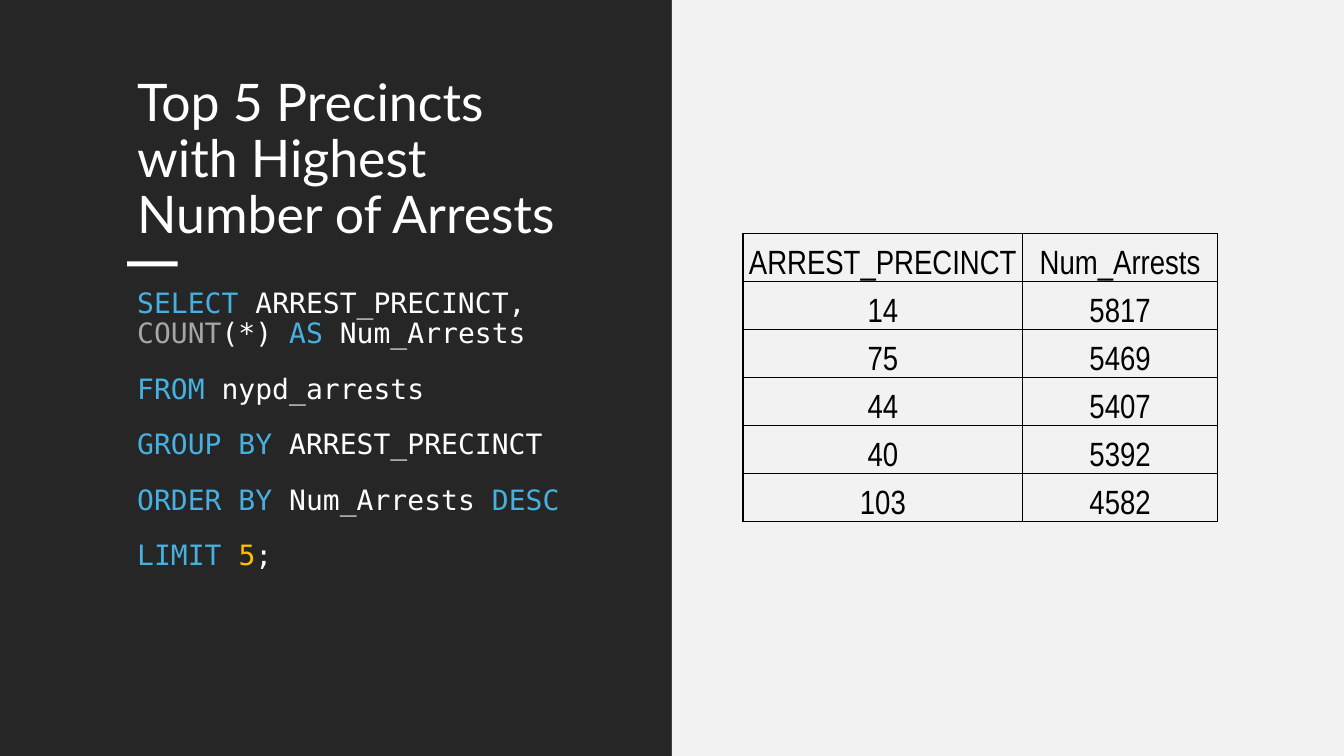
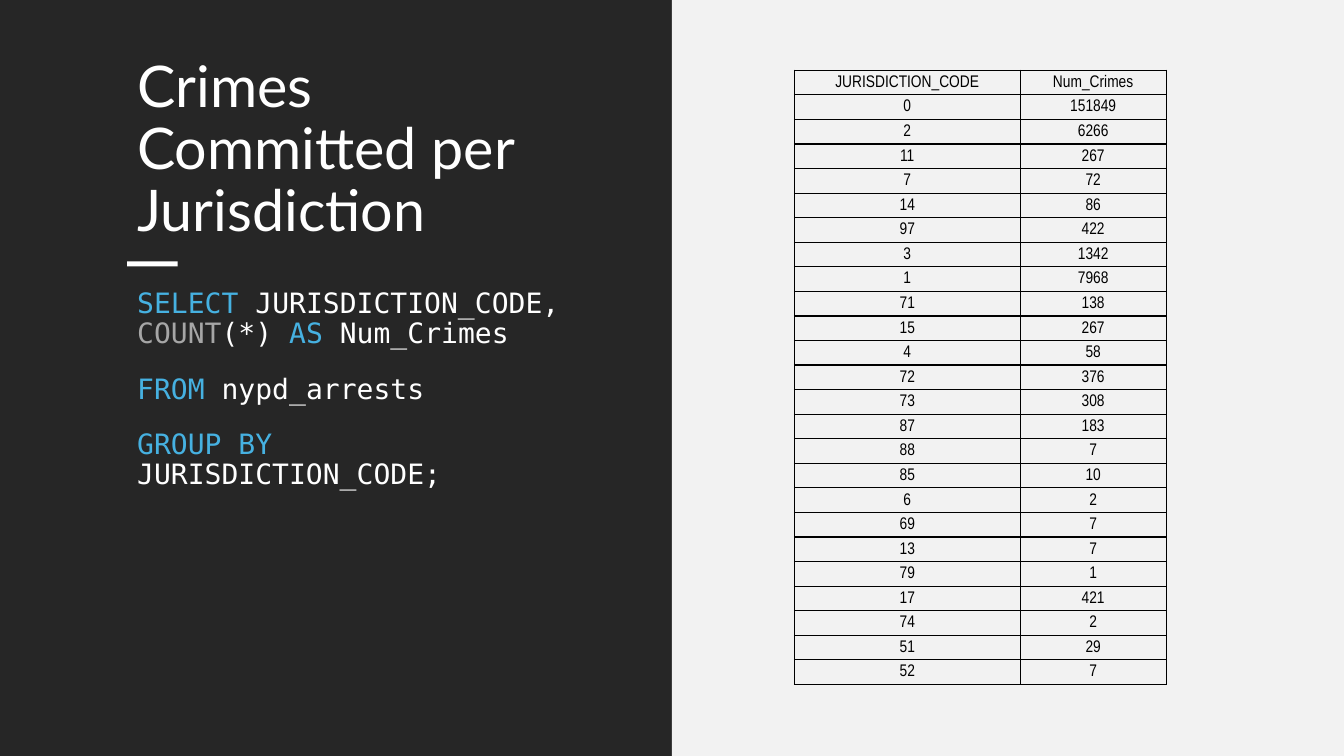
from lxml import etree
from pptx import Presentation
from pptx.dml.color import RGBColor
from pptx.enum.shapes import MSO_SHAPE
from pptx.enum.text import MSO_ANCHOR, PP_ALIGN
from pptx.oxml.ns import qn
from pptx.util import Pt

RECT = MSO_SHAPE.RECTANGLE
CENTER = PP_ALIGN.CENTER
TOP, MIDDLE, BOTTOM = MSO_ANCHOR.TOP, MSO_ANCHOR.MIDDLE, MSO_ANCHOR.BOTTOM

WIDE, HIGH = 960, 540
HALF = WIDE / 2
LEFT = 90.9
DARK, PALE, WHITE, BLACK = "262626", "F2F2F2", "FFFFFF", "000000"
KEY, FUNC, NUM = "46B1E1", "A6A6A6", "FFC000"
HEAD, CODE, DATA = "Lato", "DejaVu Sans Mono", "Arial Narrow"

# Each query is a list of paragraphs; each paragraph is a list of (text, colour).
SLIDES = [
    {
        "title": "Top 5 Precincts with Highest Number of Arrests",
        "size": 37,
        "query": [
            [("SELECT", KEY), (" ARREST_PRECINCT, ", WHITE), ("COUNT", FUNC),
             ("(*) ", WHITE), ("AS ", KEY), ("Num_Arrests", WHITE)],
            [("FROM ", KEY), ("nypd_arrests", WHITE)],
            [("GROUP BY ", KEY), ("ARREST_PRECINCT", WHITE)],
            [("ORDER BY ", KEY), ("Num_Arrests ", WHITE), ("DESC", KEY)],
            [("LIMIT ", KEY), ("5", NUM), (";", WHITE)],
        ],
        "rows": [
            ("ARREST_PRECINCT", "Num_Arrests"),
            (14, 5817), (75, 5469), (44, 5407), (40, 5392), (103, 4582),
        ],
        "grid": {"left": 530.7, "top": 166.9, "cols": (199.8, 139.2),
                 "step": 34.3, "size": 24, "anchor": BOTTOM, "inset": 1.4},
    },
    {
        "title": "Crimes Committed per Jurisdiction",
        "size": 41,
        "query": [
            [("SELECT", KEY), (" JURISDICTION_CODE, ", WHITE), ("COUNT", FUNC),
             ("(*) ", WHITE), ("AS ", KEY), ("Num_Crimes", WHITE)],
            [("FROM ", KEY), ("nypd_arrests", WHITE)],
            [("GROUP BY ", KEY), ("JURISDICTION_CODE;", WHITE)],
        ],
        "rows": [
            ("JURISDICTION_CODE", "Num_Crimes"),
            (0, 151849), (2, 6266), (11, 267), (7, 72), (14, 86), (97, 422),
            (3, 1342), (1, 7968), (71, 138), (15, 267), (4, 58), (72, 376),
            (73, 308), (87, 183), (88, 7), (85, 10), (6, 2), (69, 7),
            (13, 7), (79, 1), (17, 421), (74, 2), (51, 29), (52, 7),
        ],
        "grid": {"left": 567.4, "top": 50.2, "cols": (161.3, 104.3),
                 "step": 17.55, "size": 12, "anchor": MIDDLE, "inset": 0.7},
    },
]


def rgb(color):
    return RGBColor.from_string(color)


def block(slide, x, y, w, h, color):
    shape = slide.shapes.add_shape(RECT, Pt(x), Pt(y), Pt(w), Pt(h))
    shape.shadow.inherit = False
    shape.fill.solid()
    shape.fill.fore_color.rgb = rgb(color)
    shape.line.fill.background()


def write(frame, paras, font=CODE, size=20, align=None, lead=None,
          before=None, after=None):
    """Fill a text frame with paragraphs of (text, colour) runs."""
    for i, runs in enumerate(paras):
        para = frame.add_paragraph() if i else frame.paragraphs[0]
        para.alignment = align
        para.line_spacing = lead
        para.space_before = before
        para.space_after = after
        for text, color in runs:
            run = para.add_run()
            run.text = text
            run.font.name = font
            run.font.size = Pt(size)
            run.font.color.rgb = rgb(color)


def text_box(slide, x, y, w, h, paras, anchor=TOP, **style):
    frame = slide.shapes.add_textbox(Pt(x), Pt(y), Pt(w), Pt(h)).text_frame
    frame.word_wrap = True
    frame.vertical_anchor = anchor
    write(frame, paras, lead=0.9, **style)


def border(cell):
    props = cell._tc.get_or_add_tcPr()
    for side in ("lnL", "lnR", "lnT", "lnB"):
        line = etree.SubElement(props, qn("a:" + side), w=str(Pt(1)))
        fill = etree.SubElement(line, qn("a:solidFill"))
        etree.SubElement(fill, qn("a:srgbClr"), val=BLACK)


def add_grid(slide, rows, left, top, cols, step, size, anchor, inset):
    table = slide.shapes.add_table(
        len(rows), len(cols), Pt(left), Pt(top),
        Pt(sum(cols)), Pt(step * len(rows))).table
    table.first_row = table.horz_banding = False
    for col, width in zip(table.columns, cols):
        col.width = Pt(width)
    for line, values in zip(table.rows, rows):
        line.height = Pt(step)
        for cell, value in zip(line.cells, values):
            border(cell)
            cell.fill.background()
            cell.vertical_anchor = anchor
            cell.margin_left = cell.margin_right = cell.margin_top = Pt(inset)
            cell.margin_bottom = 0
            write(cell.text_frame, [[(str(value), BLACK)]],
                  font=DATA, size=size, align=CENTER)


def build(deck, data):
    slide = deck.slides.add_slide(deck.slide_layouts[6])
    block(slide, 0, 0, HALF, HIGH, DARK)
    # Titles sit on the accent bar's upper margin and grow upward.
    text_box(slide, LEFT, 34, 339, 144, [[(data["title"], WHITE)]],
             anchor=BOTTOM, font=HEAD, size=data["size"])
    block(slide, LEFT, 186.7, 36, 3.6, WHITE)
    text_box(slide, LEFT, 203.2, 338, 286, data["query"],
             before=Pt(10), after=Pt(8))
    block(slide, HALF, 0, HALF, HIGH, PALE)
    add_grid(slide, data["rows"], **data["grid"])


def main():
    deck = Presentation()
    deck.slide_width, deck.slide_height = Pt(WIDE), Pt(HIGH)
    for data in SLIDES:
        build(deck, data)
    deck.save("out.pptx")


if __name__ == "__main__":
    main()
